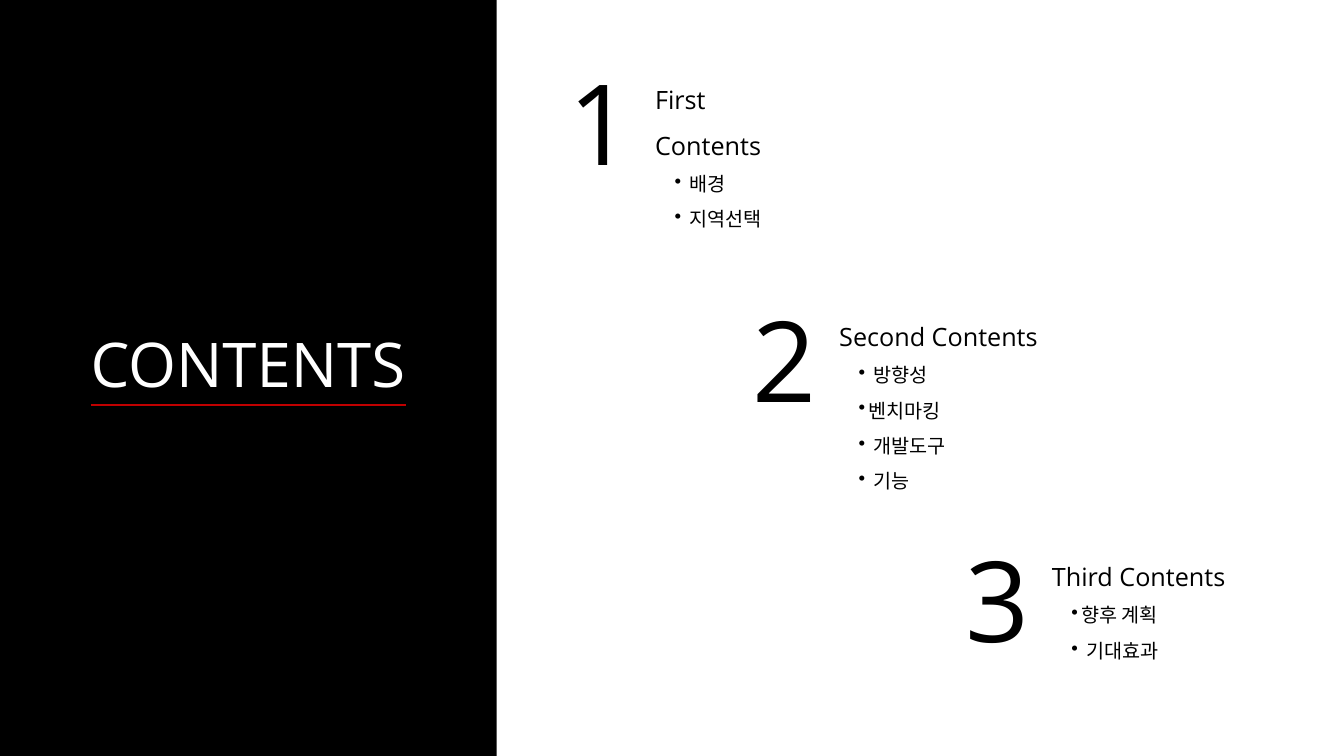
import dataclasses

import lxml.etree
import pptx
import pptx.dml.color
import pptx.enum.shapes
import pptx.enum.text
import pptx.oxml.ns
import pptx.util

Cm = pptx.util.Cm


@dataclasses.dataclass(frozen=True)
class Theme:
    """Colours, font and type sizes of the slide."""
    font: str = "Open Sans"
    ink: str = "000000"
    paper: str = "FFFFFF"
    accent: str = "C00000"
    title_size: int = 44
    numeral_size: int = 80
    heading_size: int = 18
    item_size: int = 14
    rule_width: float = 1.5
    line_spacing: float = 1.5


class ContentsSlide:
    """Draws the elements of a contents page on one slide."""

    def __init__(self, slide, theme):
        self.slide = slide
        self.theme = theme

    def colour(self, value):
        """Return the colour object for a hex value."""
        return pptx.dml.color.RGBColor.from_string(value)

    def style(self, paragraph, size, colour):
        """Format every run of a paragraph."""
        for run in paragraph.runs:
            run.font.name = self.theme.font
            run.font.size = pptx.util.Pt(size)
            run.font.color.rgb = self.colour(colour)

    def panel(self, left, top, width, height):
        """Add a plain dark panel."""
        panel = self.slide.shapes.add_shape(
            pptx.enum.shapes.MSO_SHAPE.RECTANGLE,
            Cm(left), Cm(top), Cm(width), Cm(height))
        panel.shadow.inherit = False
        panel.fill.solid()
        panel.fill.fore_color.rgb = self.colour(self.theme.ink)
        panel.line.fill.background()

    def rule(self, left, right, y):
        """Add a horizontal accent line."""
        rule = self.slide.shapes.add_connector(
            pptx.enum.shapes.MSO_CONNECTOR.STRAIGHT,
            Cm(left), Cm(y), Cm(right), Cm(y))
        rule.line.color.rgb = self.colour(self.theme.accent)
        rule.line.width = pptx.util.Pt(self.theme.rule_width)
        properties = rule.element.find(pptx.oxml.ns.qn("p:spPr"))
        lxml.etree.SubElement(properties, pptx.oxml.ns.qn("a:effectLst"))

    def text_frame(self, left, top, width, height, wrap):
        """Add a text box and return its frame."""
        frame = self.slide.shapes.add_textbox(
            Cm(left), Cm(top), Cm(width), Cm(height)).text_frame
        frame.word_wrap = wrap
        frame.auto_size = pptx.enum.text.MSO_AUTO_SIZE.SHAPE_TO_FIT_TEXT
        return frame

    def label(self, text, left, top, width, height, size, colour, align):
        """Add a single line of text."""
        frame = self.text_frame(left, top, width, height, False)
        frame.text = text
        frame.paragraphs[0].alignment = align
        self.style(frame.paragraphs[0], size, colour)

    def bullet(self, paragraph, margin, hanging):
        """Give a paragraph a hanging bullet."""
        properties = paragraph._p.get_or_add_pPr()
        properties.set("marL", str(Cm(margin)))
        properties.set("indent", str(-Cm(hanging)))
        lxml.etree.SubElement(
            properties, pptx.oxml.ns.qn("a:buChar"), char="•")

    def section(self, number, heading, items, left, top, width, height):
        """Add a large numeral with a heading and its items."""
        theme = self.theme
        self.label(str(number), left - 2.18, top - 0.4, 2.08, 3.62,
                   theme.numeral_size, theme.ink,
                   pptx.enum.text.PP_ALIGN.LEFT)
        frame = self.text_frame(left, top, width, height, True)
        frame.text = heading
        frame.paragraphs[0].line_spacing = theme.line_spacing
        self.style(frame.paragraphs[0], theme.heading_size, theme.ink)
        for item, gap in items:
            paragraph = frame.add_paragraph()
            paragraph.text = item
            paragraph.line_spacing = theme.line_spacing
            self.bullet(paragraph, 0.74 + gap, 0.25 + gap)
            self.style(paragraph, theme.item_size, theme.ink)


TIGHT, SPACED = 0, 0.13

SECTIONS = [
    ("First Contents", [("배경", SPACED), ("지역선택", SPACED)],
     16.26, 1.63, 4.47, 3.18),
    ("Second Contents",
     [("방향성", SPACED), ("벤치마킹", TIGHT),
      ("개발도구", SPACED), ("기능", SPACED)],
     20.9, 7.59, 5.72, 5),
    ("Third Contents", [("향후 계획", TIGHT), ("기대효과", SPACED)],
     26.26, 13.64, 4.95, 3.2),
]


def main():
    """Build the contents page and save it."""
    deck = pptx.Presentation()
    deck.slide_width, deck.slide_height = Cm(33.87), Cm(19.05)
    theme = Theme()
    page = ContentsSlide(deck.slides.add_slide(deck.slide_layouts[6]), theme)
    page.panel(0, 0, 12.52, 19.05)
    page.label("CONTENTS", 1.73, 8.08, 9.04, 2.08, theme.title_size,
               theme.paper, pptx.enum.text.PP_ALIGN.CENTER)
    page.rule(2.29, 10.24, 10.21)
    for number, section in enumerate(SECTIONS, start=1):
        page.section(number, *section)
    deck.save("out.pptx")


if __name__ == "__main__":
    main()
